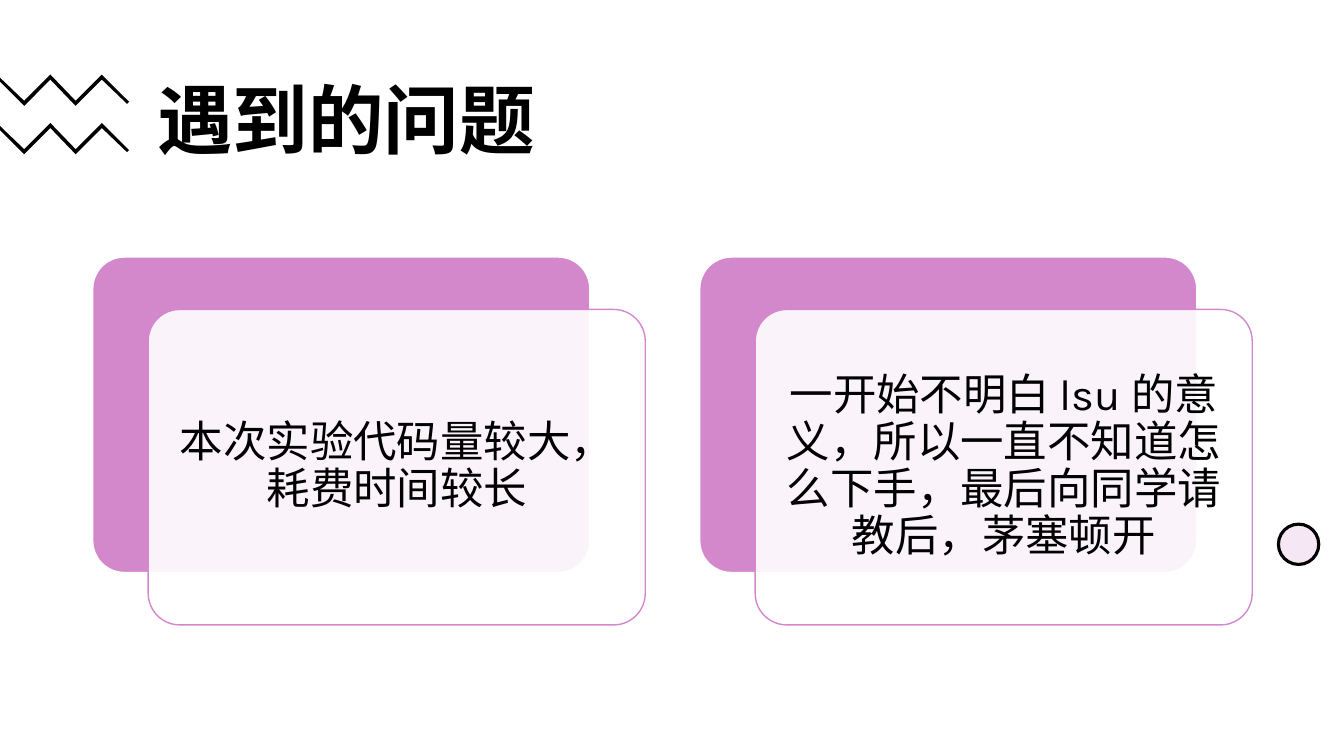
from pptx import Presentation
from pptx.dml.color import RGBColor
from pptx.enum.shapes import MSO_SHAPE
from pptx.enum.text import MSO_ANCHOR, PP_ALIGN
from pptx.oxml.ns import qn
from pptx.util import Pt
from lxml import etree

PX = 9144  # EMU per px, 100 px to the inch
BLACK = RGBColor(0x00, 0x00, 0x00)
WHITE = RGBColor(0xFF, 0xFF, 0xFF)
ORCHID = RGBColor(0xD4, 0x88, 0xCC)
ELLIPSE, ROUNDED = MSO_SHAPE.OVAL, MSO_SHAPE.ROUNDED_RECTANGLE
MIDDLE = MSO_ANCHOR.MIDDLE
LEFT, CENTER = PP_ALIGN.LEFT, PP_ALIGN.CENTER

ZIGZAG = [(50, 0), (75, 26), (101, 0), (128, 27), (126, 29), (101, 5),
          (75, 31), (50, 5), (24, 31), (0, 7), (0, 3), (24, 26)]
ZIGZAG_TOPS = (74, 122)
CARD_WIDTH, CARD_HEIGHT = 493, 313
CARD_TOP, CARD_LEFT, CARD_STEP = 255, 92, 602
FRONT_SHIFT_X, FRONT_SHIFT_Y = 55, 52
TEXT_MARGIN = 9
PROBLEMS = [
    "本次实验代码量较大，耗费时间较长",
    "一开始不明白 lsu 的意义，所以一直不知道怎么下手，最后向同学请教后，茅塞顿开",
]


def write_text(frame, text, size, bold=False, align=LEFT, color=BLACK, font="Karla"):
    paragraph = frame.paragraphs[0]
    paragraph.alignment = align
    paragraph.line_spacing = 0.9
    run = paragraph.add_run()
    run.text = text
    run.font.name = font
    run.font.size = Pt(size)
    run.font.bold = bold
    run.font.color.rgb = color


class SlideBuilder:
    def __init__(self, slide):
        self.slide = slide
        background = slide.background.fill
        background.solid()
        background.fore_color.rgb = WHITE

    def paint(self, shape, fill, opacity=100):
        """Give a solid fill; opacity is a percentage."""
        shape.shadow.inherit = False
        shape.fill.solid()
        shape.fill.fore_color.rgb = fill
        if opacity < 100:
            color = shape.fill._xPr.find(qn("a:solidFill"))[0]
            etree.SubElement(color, qn("a:alpha"), val=str(opacity * 1000))

    def shape(self, kind, left, top, width, height, fill, line, line_width, opacity=100):
        shape = self.slide.shapes.add_shape(
            kind, left * PX, top * PX, width * PX, height * PX)
        self.paint(shape, fill, opacity)
        shape.line.color.rgb = line
        shape.line.width = Pt(line_width)
        if kind == ROUNDED:
            shape.adjustments[0] = 0.1

    def text(self, left, top, width, height, text, inset_x, inset_y, **text_format):
        box = self.slide.shapes.add_textbox(
            left * PX, top * PX, width * PX, height * PX)
        frame = box.text_frame
        frame.word_wrap = True
        frame.vertical_anchor = MIDDLE
        frame.margin_left = frame.margin_right = inset_x * PX
        frame.margin_top = frame.margin_bottom = inset_y * PX
        write_text(frame, text, **text_format)

    def zigzag(self, top):
        points = [(x, top + y) for x, y in ZIGZAG]
        builder = self.slide.shapes.build_freeform(*points[0], scale=PX)
        builder.add_line_segments(points[1:], close=True)
        shape = builder.convert_to_shape()
        self.paint(shape, BLACK)
        shape.line.fill.background()

    def card(self, left, text):
        """Draw a filled panel with a translucent text panel shifted over it."""
        self.shape(ROUNDED, left, CARD_TOP, CARD_WIDTH, CARD_HEIGHT, ORCHID, WHITE, 1)
        front_left, front_top = left + FRONT_SHIFT_X, CARD_TOP + FRONT_SHIFT_Y
        self.shape(ROUNDED, front_left, front_top, CARD_WIDTH, CARD_HEIGHT,
                   WHITE, ORCHID, 1, opacity=90)
        self.text(front_left + TEXT_MARGIN, front_top + TEXT_MARGIN,
                  CARD_WIDTH - 2 * TEXT_MARGIN, CARD_HEIGHT - 2 * TEXT_MARGIN,
                  text, 13, 13, size=31, align=CENTER)


def main():
    presentation = Presentation()
    presentation.slide_width = 1333 * PX
    presentation.slide_height = 750 * PX
    builder = SlideBuilder(presentation.slides.add_slide(presentation.slide_layouts[6]))
    builder.text(146, 62, 1066, 123, "遇到的问题", 10, 5, size=54, bold=True)
    for top in ZIGZAG_TOPS:
        builder.zigzag(top)
    builder.shape(ELLIPSE, 1268, 520, 40, 40, ORCHID, BLACK, 2.25, opacity=20)
    for index, problem in enumerate(PROBLEMS):
        builder.card(CARD_LEFT + index * CARD_STEP, problem)
    presentation.save("out.pptx")


if __name__ == "__main__":
    main()
